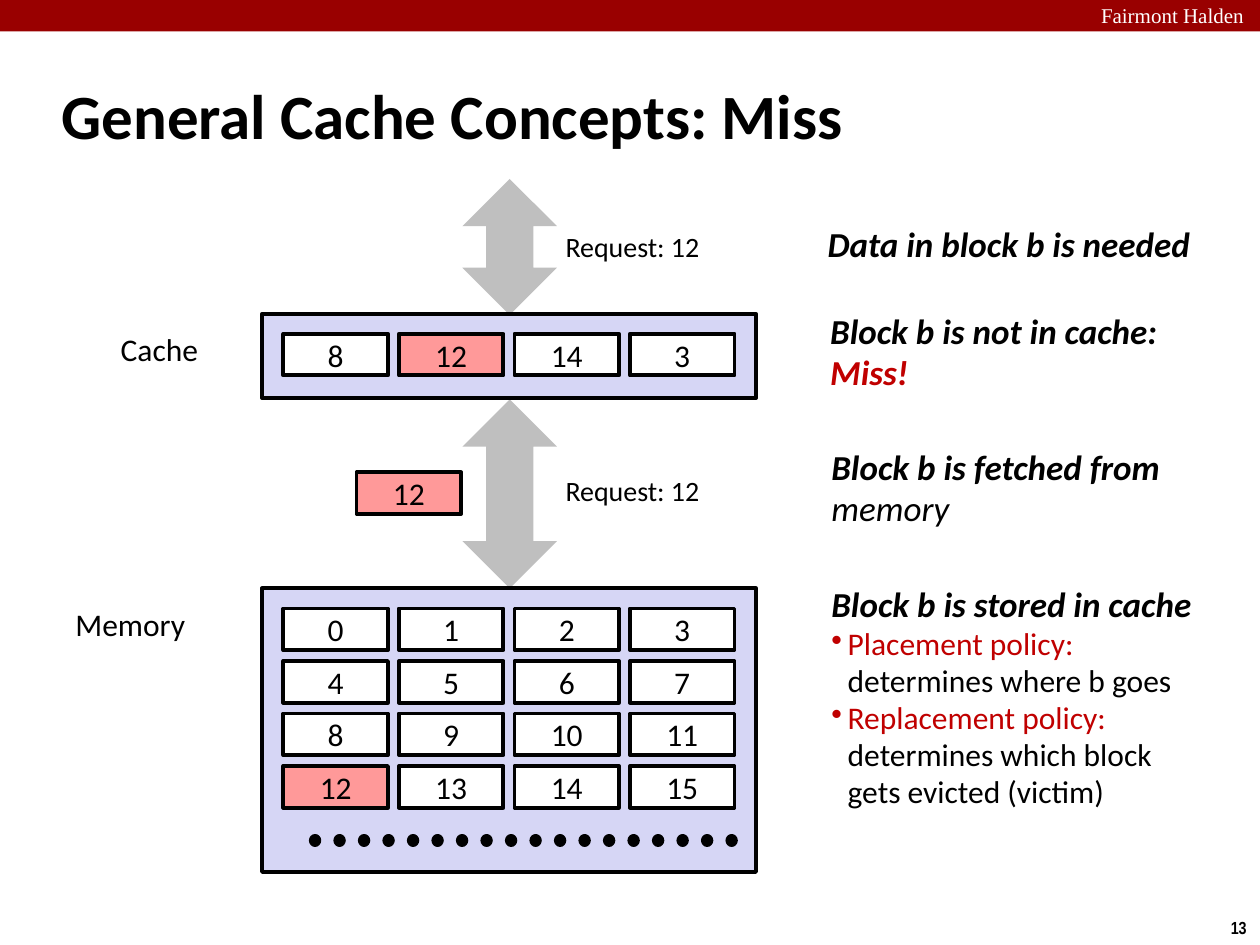
from dataclasses import dataclass

from lxml import etree
from pptx import Presentation
from pptx.dml.color import RGBColor
from pptx.enum import dml, shapes, text
from pptx.oxml import ns
from pptx.util import Inches, Pt

COLORS = {
    "black": "000000",
    "white": "FFFFFF",
    "banner": "990000",
    "arrow": "BFBFBF",
    "container": "D6D6F5",
    "requested": "FF9999",
    "accent": "C00000",
}
REQUESTED_BLOCK = 12
BLOCK_SIZE = (0.83, 0.33)
GRID_LEFT = 2.25
COLUMNS = 4
COLUMN_STEP = 2.75 / 3
ROW_STEP = 1.25 / 3


@dataclass(frozen=True)
class Span:
    words: str
    size: float = 18
    color: str = "black"
    bold: bool = False
    italic: bool = False
    font: str = "Calibri"


@dataclass(frozen=True)
class Para:
    spans: tuple[Span, ...]
    align: text.PP_ALIGN = text.PP_ALIGN.LEFT
    spacing: float = 1.0
    bullet: bool = False


@dataclass(frozen=True)
class Label:
    area: tuple[float, float, float, float]
    paras: tuple[Para, ...]
    middle: bool = False
    wrap: bool = False


@dataclass(frozen=True)
class Panel:
    area: tuple[float, float, float, float]
    kind: shapes.MSO_SHAPE
    fill: str
    outlined: bool = False


@dataclass(frozen=True)
class BlockGrid:
    top: float
    numbers: tuple[int, ...]


def rgb(name: str) -> RGBColor:
    return RGBColor.from_string(COLORS[name])


def write_para(para, content: Para) -> None:
    para.alignment = content.align
    para.line_spacing = content.spacing
    if content.bullet:
        properties = para._p.get_or_add_pPr()
        properties.set("marL", str(Inches(0.13)))
        properties.set("indent", str(Inches(-0.13)))
        etree.SubElement(properties, ns.qn("a:buChar"), char="•")
    for span in content.spans:
        for index, line in enumerate(span.words.split("\n")):
            if index:
                para.add_line_break()
            if line:
                run = para.add_run()
                run.text = line
                run.font.name = span.font
                run.font.size = Pt(span.size)
                run.font.bold = span.bold
                run.font.italic = span.italic
                run.font.color.rgb = rgb(span.color)


def draw_label(page, label: Label) -> None:
    frame = page.shapes.add_textbox(*map(Inches, label.area)).text_frame
    frame.word_wrap = label.wrap
    if not label.wrap:
        frame.auto_size = text.MSO_AUTO_SIZE.SHAPE_TO_FIT_TEXT
    frame.vertical_anchor = text.MSO_ANCHOR.MIDDLE if label.middle else text.MSO_ANCHOR.TOP
    for index, content in enumerate(label.paras):
        para = frame.add_paragraph() if index else frame.paragraphs[0]
        write_para(para, content)


def draw_panel(page, panel: Panel):
    box = page.shapes.add_shape(panel.kind, *map(Inches, panel.area))
    box.shadow.inherit = False
    box.fill.solid()
    box.fill.fore_color.rgb = rgb(panel.fill)
    if panel.outlined:
        box.line.color.rgb = rgb("black")
        box.line.width = Pt(2.25)
    else:
        box.line.fill.background()
    return box


def draw_block(page, left: float, top: float, number: int) -> None:
    fill = "requested" if number == REQUESTED_BLOCK else "white"
    area = (left, top, *BLOCK_SIZE)
    box = draw_panel(page, Panel(area, shapes.MSO_SHAPE.RECTANGLE, fill, True))
    box.text_frame.vertical_anchor = text.MSO_ANCHOR.MIDDLE
    write_para(box.text_frame.paragraphs[0], Para((Span(str(number)),), text.PP_ALIGN.CENTER))


def draw_grid(page, grid: BlockGrid) -> None:
    for index, number in enumerate(grid.numbers):
        row, column = divmod(index, COLUMNS)
        draw_block(page, GRID_LEFT + column * COLUMN_STEP, grid.top + row * ROW_STEP, number)


def draw_dots(page) -> None:
    dots = page.shapes.add_connector(
        shapes.MSO_CONNECTOR.STRAIGHT, Inches(2.5), Inches(6.67), Inches(5.83), Inches(6.67)
    )
    dots.line.color.rgb = rgb("black")
    dots.line.width = Pt(7)
    dots.line.dash_style = dml.MSO_LINE.ROUND_DOT
    dots.line._get_or_add_ln().set("cap", "rnd")
    etree.SubElement(dots._element.spPr, ns.qn("a:effectLst"))


def plain(words: str, size: float = 18, align: text.PP_ALIGN = text.PP_ALIGN.LEFT) -> Para:
    return Para((Span(words, size),), align)


def step(words: str, color: str = "black", bold: bool = True) -> Para:
    return Para((Span(words, 20, color, bold, True),), spacing=0.98)


def policy(name: str, effect: str) -> Para:
    return Para((Span(name + "\n", color="accent"), Span(effect)), spacing=0.98, bullet=True)


PANELS = (
    Panel((0, 0, 10, 0.25), shapes.MSO_SHAPE.RECTANGLE, "banner"),
    Panel((3.67, 1.42, 0.75, 1.08), shapes.MSO_SHAPE.UP_DOWN_ARROW, "arrow"),
    Panel((3.67, 3.17, 0.75, 1.5), shapes.MSO_SHAPE.UP_DOWN_ARROW, "arrow"),
    Panel((2.08, 4.67, 3.92, 2.25), shapes.MSO_SHAPE.RECTANGLE, "container", True),
    Panel((2.08, 2.49, 3.92, 0.67), shapes.MSO_SHAPE.RECTANGLE, "container", True),
)
GRIDS = (BlockGrid(4.83, tuple(range(16))), BlockGrid(2.65, (8, 12, 14, 3)))
REQUEST = plain("Request: 12", 16, text.PP_ALIGN.CENTER)
LABELS = (
    Label((8.64, -0.03, 1.43, 0.3),
          (Para((Span("Fairmont Halden", 12, "white", font="Times New Roman"),)),), wrap=True),
    Label((9.67, 7.23, 0.34, 0.27), (Para((Span("13", 10, bold=True, font="Arial Narrow"),)),)),
    Label((0.39, 0.49, 8.3, 0.83),
          (Para((Span("General Cache Concepts: Miss", 36, bold=True),)),), middle=True, wrap=True),
    Label((0.86, 2.57, 1.04, 0.5), (plain("Cache"),)),
    Label((0.5, 4.75, 1.4, 0.5), (plain("Memory"),)),
    Label((4.37, 1.77, 1.3, 0.37), (REQUEST,)),
    Label((4.37, 3.71, 1.3, 0.37), (REQUEST,)),
    Label((6.47, 1.73, 3.09, 0.43), (step("Data in block b is needed"),), True),
    Label((6.49, 2.42, 2.81, 0.76),
          (step("Block b is not in cache:"), step("Miss!", "accent")), True),
    Label((6.5, 3.5, 2.83, 0.76),
          (step("Block b is fetched from"), step("memory", bold=False)), True),
    Label((6.5, 4.58, 3.07, 1.92),
          (step("Block b is stored in cache"),
           policy("Placement policy:", "determines where b goes"),
           policy("Replacement policy:", "determines which block\ngets evicted (victim)")), True),
)


def main() -> None:
    deck = Presentation()
    deck.slide_width, deck.slide_height = Inches(10), Inches(7.5)
    page = deck.slides.add_slide(deck.slide_layouts[6])
    for panel in PANELS:
        draw_panel(page, panel)
    for grid in GRIDS:
        draw_grid(page, grid)
    draw_block(page, 2.83, 3.75, REQUESTED_BLOCK)
    draw_dots(page)
    for label in LABELS:
        draw_label(page, label)
    deck.save("out.pptx")


if __name__ == "__main__":
    main()
